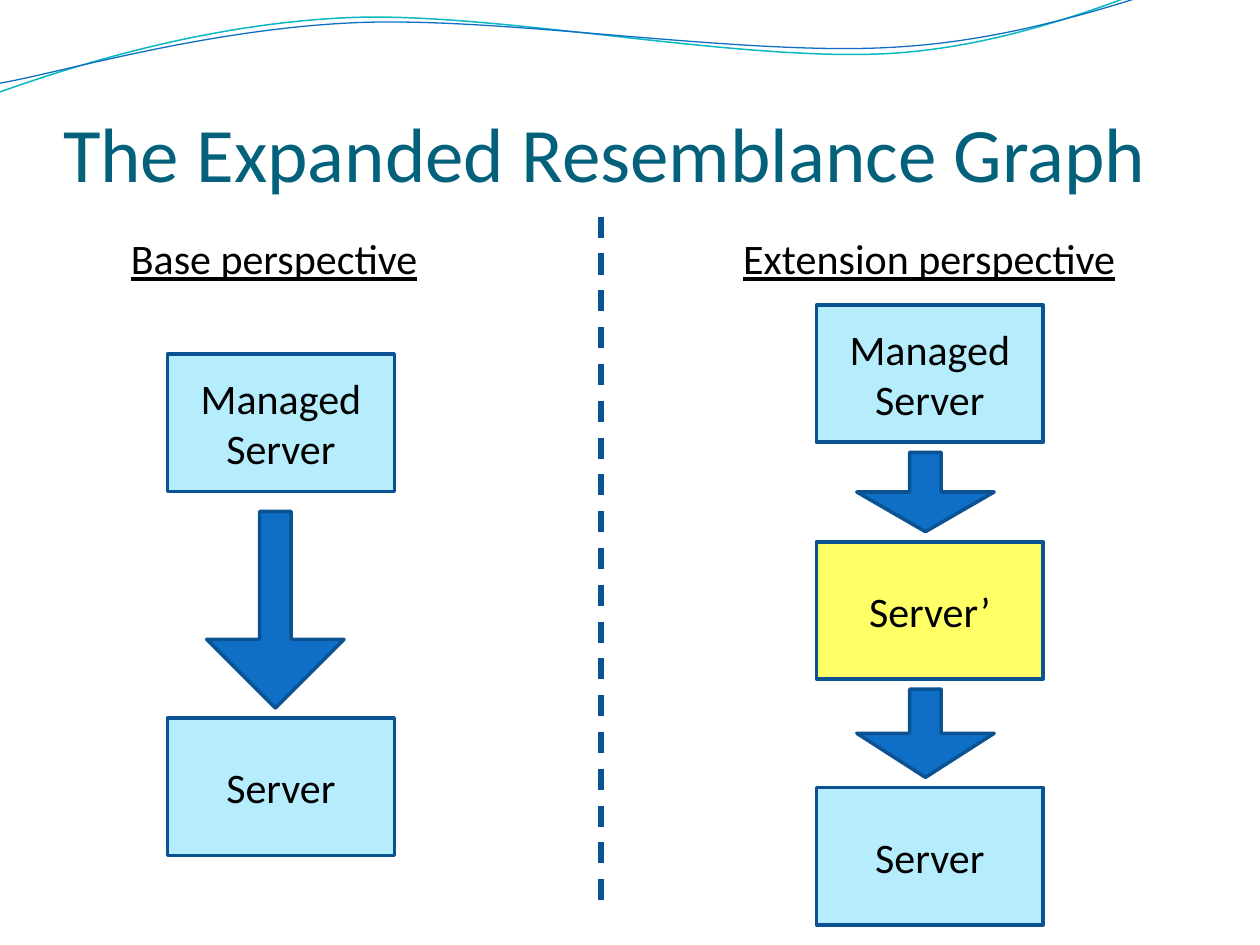
from dataclasses import dataclass
from math import cos, radians, sin

from lxml.etree import SubElement
from pptx import Presentation
from pptx.dml.color import RGBColor
from pptx.enum.dml import MSO_LINE
from pptx.enum.shapes import MSO_CONNECTOR, MSO_SHAPE
from pptx.enum.text import MSO_ANCHOR, MSO_AUTO_SIZE, PP_ALIGN
from pptx.oxml.ns import qn
from pptx.util import Inches, Pt

BOX_WIDTH, BOX_HEIGHT = 1.8, 1.09
ARROW_WIDTH, ARROW_GAP = 1.09, 0.08
WAVE_TILT = 2.7


def color(value):
    return RGBColor.from_string(value)


def turn(point, center, degrees):
    angle = radians(degrees)
    x, y = point[0] - center[0], point[1] - center[1]
    return (
        Inches(center[0] + x * cos(angle) - y * sin(angle)),
        Inches(center[1] + x * sin(angle) + y * cos(angle)),
    )


def make_cubic(freeform):
    lines = list(freeform._element.iter(qn("a:lnTo")))
    for first in range(0, len(lines), 3):
        curve = lines[first]
        curve.tag = qn("a:cubicBezTo")
        for line in lines[first + 1:first + 3]:
            curve.append(line[0])
            line.getparent().remove(line)


@dataclass
class GraphSlide:
    """Draws the elements of the resemblance graph in one style."""

    slide: object
    font: str = "Calibri"
    text_size: int = 24
    text_color: str = "000000"
    title_color: str = "04617B"
    box_fill: str = "B5EDFD"
    arrow_fill: str = "0F6FC6"
    outline: str = "0B5292"

    def style_text(self, frame, size, text_color, alignment, underline=None):
        for para in frame.paragraphs:
            para.alignment = alignment
            for span in para.runs:
                span.font.name = self.font
                span.font.size = Pt(size)
                span.font.underline = underline
                span.font.color.rgb = color(text_color)

    def style_line(self, line, line_color, width):
        line.color.rgb = color(line_color)
        line.width = Pt(width)

    def title(self, text):
        title = self.slide.shapes.title
        title.left, title.top = Inches(0.5), Inches(0.55)
        title.width, title.height = Inches(9), Inches(1.02)
        frame = title.text_frame
        frame.text = text
        frame.auto_size = MSO_AUTO_SIZE.NONE
        frame.vertical_anchor = MSO_ANCHOR.BOTTOM
        frame.margin_left = frame.margin_right = frame.margin_bottom = 0
        frame.margin_top = Inches(0.05)
        self.style_text(frame, 44, self.title_color, PP_ALIGN.LEFT)

    def wave(self, points, center, line_color, width):
        level = [turn(point, center, WAVE_TILT) for point in points]
        builder = self.slide.shapes.build_freeform(*level[0])
        builder.add_line_segments(level[1:], close=False)
        wave = builder.convert_to_shape()
        make_cubic(wave)
        wave.rotation = 360 - WAVE_TILT
        wave.shadow.inherit = False
        wave.fill.background()
        self.style_line(wave.line, line_color, width)

    def block(self, kind, left, top, width, height, fill):
        block = self.slide.shapes.add_shape(
            kind, Inches(left), Inches(top), Inches(width), Inches(height)
        )
        block.shadow.inherit = False
        block.fill.solid()
        block.fill.fore_color.rgb = color(fill)
        self.style_line(block.line, self.outline, 2)
        return block

    def box(self, text, left, top, fill=None):
        box = self.block(MSO_SHAPE.RECTANGLE, left, top, BOX_WIDTH, BOX_HEIGHT,
                         fill or self.box_fill)
        frame = box.text_frame
        frame.text = text
        frame.vertical_anchor = MSO_ANCHOR.MIDDLE
        self.style_text(frame, self.text_size, self.text_color, PP_ALIGN.CENTER)

    def arrow(self, left, top, height):
        arrow = self.block(MSO_SHAPE.DOWN_ARROW, left, top, ARROW_WIDTH, height,
                           self.arrow_fill)
        arrow.adjustments[0] = 0.23
        arrow.adjustments[1] = 0.5

    def chain(self, left, arrow_left, boxes, gap):
        for index, (text, top, fill) in enumerate(boxes):
            self.box(text, left, top, fill)
            if index + 1 < len(boxes):
                arrow_top = top + BOX_HEIGHT + gap
                height = boxes[index + 1][1] - ARROW_GAP - arrow_top
                self.arrow(arrow_left, arrow_top, height)

    def heading(self, text, left, width):
        heading = self.slide.shapes.add_textbox(
            Inches(left), Inches(1.8), Inches(width), Inches(0.5)
        )
        frame = heading.text_frame
        frame.text = text
        frame.word_wrap = False
        frame.auto_size = MSO_AUTO_SIZE.SHAPE_TO_FIT_TEXT
        self.style_text(frame, self.text_size, self.text_color, PP_ALIGN.LEFT, True)

    def divider(self, x, top, bottom):
        divider = self.slide.shapes.add_connector(
            MSO_CONNECTOR.STRAIGHT, Inches(x), Inches(top), Inches(x), Inches(bottom)
        )
        self.style_line(divider.line, "095295", 3)
        divider.line.dash_style = MSO_LINE.DASH
        SubElement(divider._element.spPr, qn("a:effectLst"))


def main():
    deck = Presentation()
    deck.slide_width, deck.slide_height = Inches(10), Inches(7.5)
    page = GraphSlide(deck.slides.add_slide(deck.slide_layouts[5]))

    page.wave([(0, 0.73), (0.48, 0.56), (1.58, 0.19), (2.77, 0.14),
               (3.95, 0.09), (5.93, 0.51), (7.13, 0.42),
               (8.33, 0.33), (9.38, -0.23), (9.98, -0.4)],
              (4.99, 0.2), "0AB8BF", 0.85)
    page.wave([(0, 0.66), (0.47, 0.58), (1.64, 0.23), (2.83, 0.18),
               (4.03, 0.13), (5.97, 0.46), (7.17, 0.37),
               (8.36, 0.29), (9.41, -0.17), (10, -0.32)],
              (5, 0.21), "0F6FC6", 0.75)
    page.title("The Expanded Resemblance Graph")
    page.heading("Base perspective", 0.94, 2.5)
    page.chain(1.33, 1.64, [("Managed\nServer", 2.81, None),
                            ("Server", 5.7, None)], 0.16)
    page.heading("Extension perspective", 5.8, 3.19)
    page.chain(6.48, 6.8, [("Managed\nServer", 2.42, None),
                           ("Server’", 4.3, "FFFF66"),
                           ("Server", 6.25, None)], ARROW_GAP)
    page.divider(4.77, 1.72, 7.27)
    deck.save("out.pptx")


if __name__ == "__main__":
    main()
